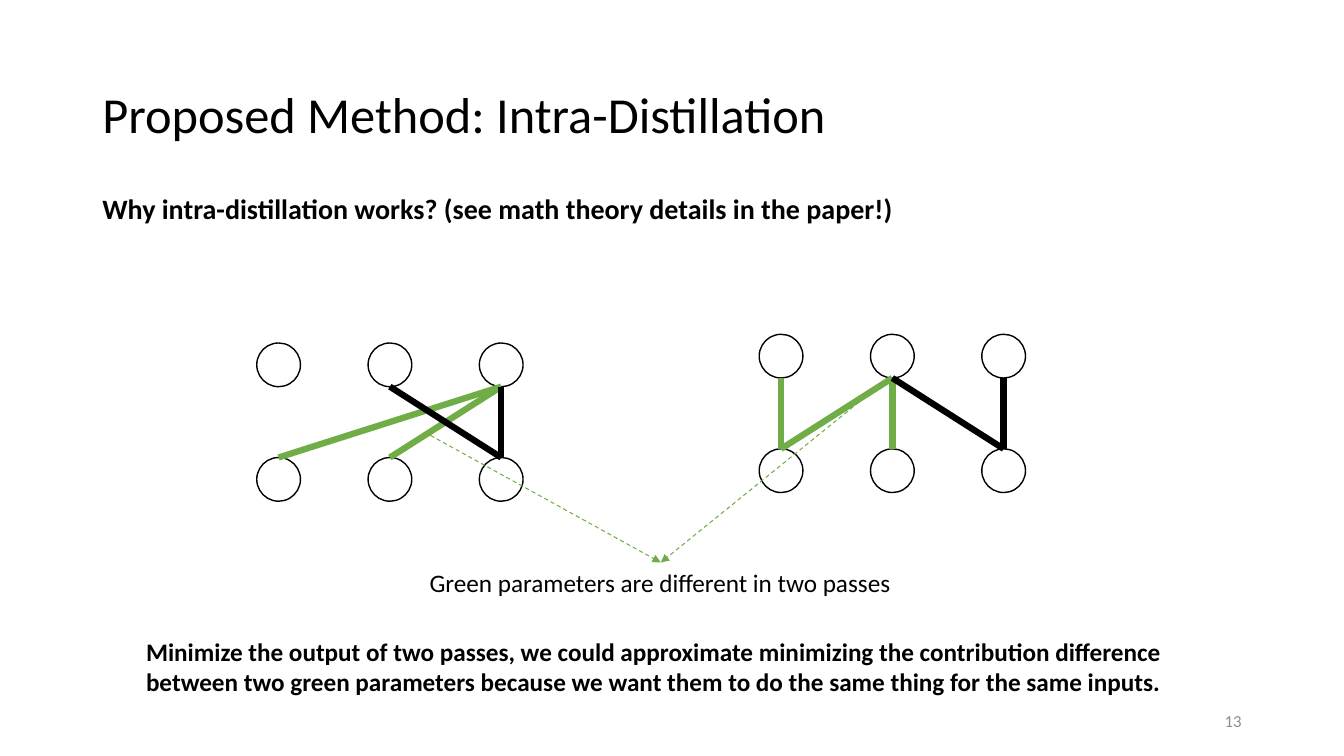
import pptx
import pptx.dml.color
import pptx.enum.dml
import pptx.enum.shapes
import pptx.enum.text
import pptx.oxml
import pptx.oxml.ns
import pptx.util

Pt = pptx.util.Pt
RGBColor = pptx.dml.color.RGBColor
Align = pptx.enum.text.PP_ALIGN
Anchor = pptx.enum.text.MSO_ANCHOR

BLACK = RGBColor(0x00, 0x00, 0x00)
WHITE = RGBColor(0xFF, 0xFF, 0xFF)
GREEN = RGBColor(0x70, 0xAD, 0x47)
GRAY = RGBColor(0x8C, 0x8C, 0x8C)
FONT = "Calibri"

# Content: text, (left, top, width, height), size, bold, colour, alignment, anchor
TEXTS = [
    ("Proposed Method: Intra-Distillation", (66, 28.75, 828, 104.4),
     36, False, BLACK, Align.LEFT, Anchor.MIDDLE),
    ("13", (678, 500.5, 216, 28.75), 12, False, GRAY, Align.RIGHT, Anchor.MIDDLE),
    ("Why intra-distillation works? (see math theory details in the paper!)",
     (66, 133.2, 852, 31.5), 20, True, BLACK, Align.LEFT, Anchor.TOP),
    ("Green parameters are different in two passes", (231, 401.8, 481, 29),
     18, False, BLACK, Align.CENTER, Anchor.TOP),
    ("Minimize the output of two passes, we could approximate minimizing the "
     "contribution difference between two green parameters because we want them "
     "to do the same thing for the same inputs.", (97.2, 450.7, 805.7, 51),
     18, True, BLACK, Align.LEFT, Anchor.TOP),
]

# Each pass: left, top, and edges as (bottom node, top node, colour)
PASSES = [
    (183.4, 245, [(0, 2, GREEN), (1, 2, GREEN), (2, 1, BLACK), (2, 2, BLACK)]),
    (542.3, 238.8, [(0, 1, GREEN), (1, 1, GREEN), (2, 1, BLACK), (2, 2, BLACK),
                    (0, 0, GREEN)]),
]
NODES_PER_ROW = 3
NODE_SIZE = 31.2
NODE_PITCH = 79.5
ROW_PITCH = 81.8

CALLOUT_TARGET = (472, 401.8)
CALLOUT_STARTS = [(307.5, 311), (613.5, 287.3)]


def add_text(slide, text, box, size, bold, color, alignment, anchor):
    shape = slide.shapes.add_textbox(*map(Pt, box))
    frame = shape.text_frame
    frame.word_wrap = True
    frame.vertical_anchor = anchor
    paragraph = frame.paragraphs[0]
    paragraph.alignment = alignment
    run = paragraph.add_run()
    run.text = text
    run.font.name = FONT
    run.font.size = Pt(size)
    run.font.bold = bold
    run.font.color.rgb = color


def add_node(slide, left, top):
    shape = slide.shapes.add_shape(
        pptx.enum.shapes.MSO_SHAPE.OVAL, Pt(left), Pt(top), Pt(NODE_SIZE), Pt(NODE_SIZE))
    shape.shadow.inherit = False
    shape.fill.solid()
    shape.fill.fore_color.rgb = WHITE
    shape.line.color.rgb = BLACK
    shape.line.width = Pt(1)


def add_line(slide, start, end, color, width):
    connector = slide.shapes.add_connector(
        pptx.enum.shapes.MSO_CONNECTOR.STRAIGHT, *map(Pt, start + end))
    connector.line.color.rgb = color
    connector.line.width = Pt(width)
    properties = connector._element.spPr
    properties.append(pptx.oxml.parse_xml(
        "<a:effectLst %s/>" % pptx.oxml.ns.nsdecls("a")))
    return connector


def add_pass(slide, left, top, edges):
    bottom = top + ROW_PITCH
    columns = [left + index * NODE_PITCH for index in range(NODES_PER_ROW)]
    for row_top in (bottom, top):
        for column in columns:
            add_node(slide, column, row_top)
    centers = [column + NODE_SIZE / 2 for column in columns]
    for lower, upper, color in edges:
        add_line(slide, (centers[lower], bottom), (centers[upper], top + NODE_SIZE),
                 color, 4.5)


def add_callout(slide, start):
    connector = add_line(slide, start, CALLOUT_TARGET, GREEN, 0.75)
    connector.line.dash_style = pptx.enum.dml.MSO_LINE.DASH
    connector.line._ln.append(pptx.oxml.parse_xml(
        '<a:tailEnd type="triangle" %s/>' % pptx.oxml.ns.nsdecls("a")))


def main():
    presentation = pptx.Presentation()
    presentation.slide_width = Pt(960)
    presentation.slide_height = Pt(540)
    slide = presentation.slides.add_slide(presentation.slide_layouts[6])

    # Title, page number, question and captions
    for text in TEXTS:
        add_text(slide, *text)

    # Two forward passes
    for network in PASSES:
        add_pass(slide, *network)

    # Dashed arrows to the caption
    for start in CALLOUT_STARTS:
        add_callout(slide, start)

    presentation.save("out.pptx")


if __name__ == "__main__":
    main()
